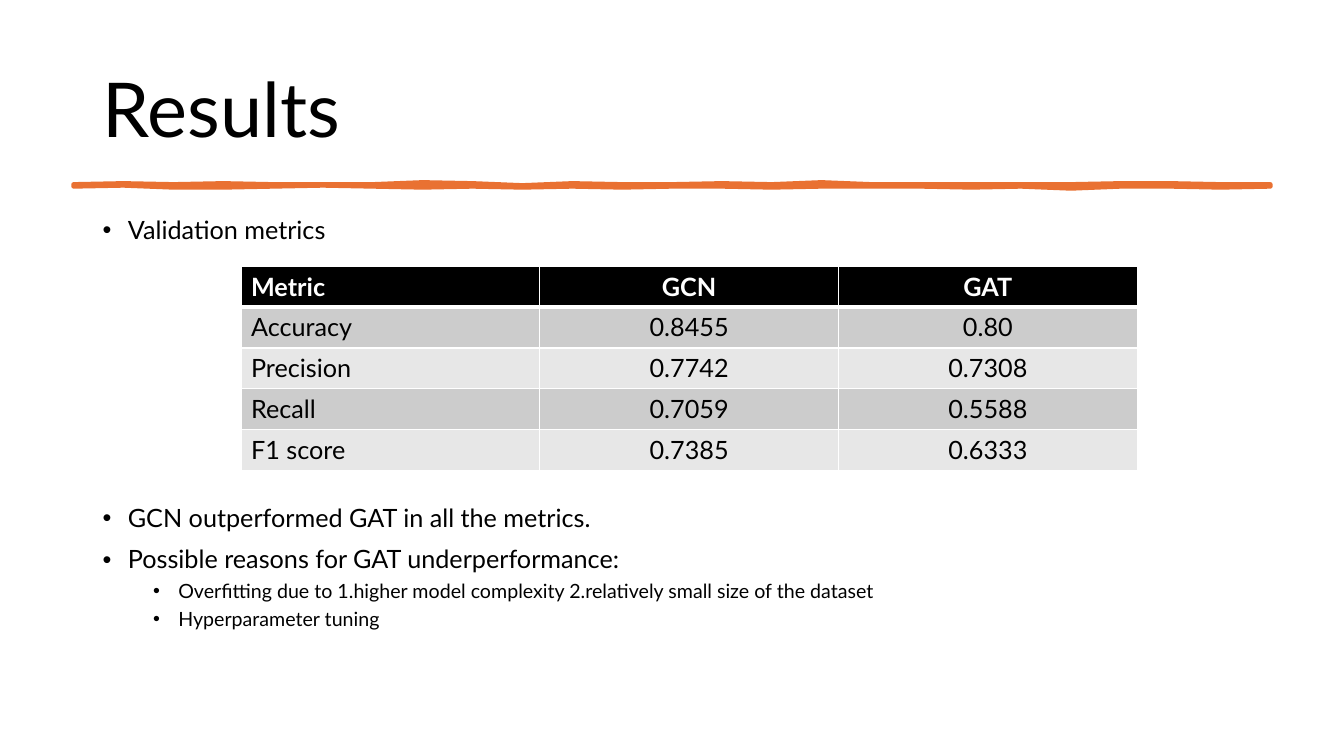
from lxml.etree import SubElement
from pptx import Presentation
from pptx.dml.color import RGBColor
from pptx.enum.text import MSO_ANCHOR, PP_ALIGN
from pptx.oxml.ns import qn
from pptx.util import Inches, Pt


def paint(colour_format, colour):
    colour_format.rgb = RGBColor.from_string(colour)


def write(paragraph, text, size, colour="000000", bold=False):
    paragraph.text = text
    font = paragraph.runs[0].font
    font.name, font.size, font.bold = "Lato", Pt(size), bold
    paint(font.color, colour)


deck = Presentation()
deck.slide_width, deck.slide_height = Inches(13.33), Inches(7.5)
slide = deck.slides.add_slide(deck.slide_layouts[6])
margin, content_width = Inches(0.92), Inches(11.5)

title = slide.shapes.add_textbox(margin, Inches(0.4), content_width, Inches(1.45)).text_frame
title.word_wrap = True
title.vertical_anchor = MSO_ANCHOR.MIDDLE
title.paragraphs[0].line_spacing = 0.9
write(title.paragraphs[0], "Results", 54)

rule_left, rule_top, rule_width = 0.73, 1.83, 11.87
upper_wave = [0, -1, 0, -1, 0, 0, 0, -2, -1, 1, -1, 0, 0, -1, 0, -2, 0, 0, 0, 0, 0, -1, -1, 0, 0]
lower_wave = [2, 1, 3, 3, 2, 1, 2, 3, 2, 3, 2, 3, 2, 2, 3, 2, 2, 2, 3, 2, 4, 2, 2, 3, 2]
step = rule_width / (len(upper_wave) - 1)
upper_edge, lower_edge = [
    [(Inches(rule_left + i * step), Inches(rule_top + offset / 100)) for i, offset in enumerate(wave)]
    for wave in (upper_wave, lower_wave)
]
outline = upper_edge + lower_edge[::-1]
builder = slide.shapes.build_freeform(*outline[0])
builder.add_line_segments(outline[1:], close=True)
brush_rule = builder.convert_to_shape()
brush_rule.shadow.inherit = False
brush_rule.fill.solid()
paint(brush_rule.fill.fore_color, "E97132")
paint(brush_rule.line.color, "E97132")
brush_rule.line.width = Pt(3.25)

bullet_groups = [
    (2.11, 0.45, [("Validation metrics", 0)]),
    (4.97, 1.79, [
        ("GCN outperformed GAT in all the metrics.", 0),
        ("Possible reasons for GAT underperformance:", 0),
        ("Overfitting due to 1.higher model complexity 2.relatively small size of the dataset", 1),
        ("Hyperparameter tuning", 1),
    ]),
]
for top, height, points in bullet_groups:
    body = slide.shapes.add_textbox(margin, Inches(top), content_width, Inches(height)).text_frame
    body.word_wrap = True
    for i, (text, level) in enumerate(points):
        point = body.add_paragraph() if i else body.paragraphs[0]
        write(point, text, (18, 14)[level])
        point.level = level
        point.line_spacing = 0.9
        point.space_before = Pt((10, 5)[level] if i else 0)
        properties = point._p.get_or_add_pPr()
        properties.set("marL", str(Inches(0.25 + 0.5 * level)))
        properties.set("indent", str(Inches(-0.25)))
        SubElement(properties, qn("a:buFont"), typeface="Arial")
        SubElement(properties, qn("a:buChar"), char="•")

metrics = [
    ("Metric", "GCN", "GAT"),
    ("Accuracy", "0.8455", "0.80"),
    ("Precision", "0.7742", "0.7308"),
    ("Recall", "0.7059", "0.5588"),
    ("F1 score", "0.7385", "0.6333"),
]
table = slide.shapes.add_table(
    len(metrics), 3, Inches(2.39), Inches(2.64), Inches(8.89), Inches(2.03)
).table
for r, row in enumerate(metrics):
    header = r == 0
    fill = "000000" if header else ("E7E7E7", "CCCCCC")[r % 2]
    for c, value in enumerate(row):
        cell = table.cell(r, c)
        paragraph = cell.text_frame.paragraphs[0]
        write(paragraph, value, 18, "FFFFFF" if header else "000000", header)
        paragraph.alignment = PP_ALIGN.CENTER if c else PP_ALIGN.LEFT
        cell_properties = cell._tc.get_or_add_tcPr()
        for side in ("lnL", "lnR", "lnT", "lnB"):
            thick = (r, side) in ((0, "lnB"), (1, "lnT"))
            border = SubElement(cell_properties, qn(f"a:{side}"), w=str(Pt(3 if thick else 1)))
            SubElement(SubElement(border, qn("a:solidFill")), qn("a:srgbClr"), val="FFFFFF")
        cell.fill.solid()
        paint(cell.fill.fore_color, fill)

deck.save("out.pptx")
